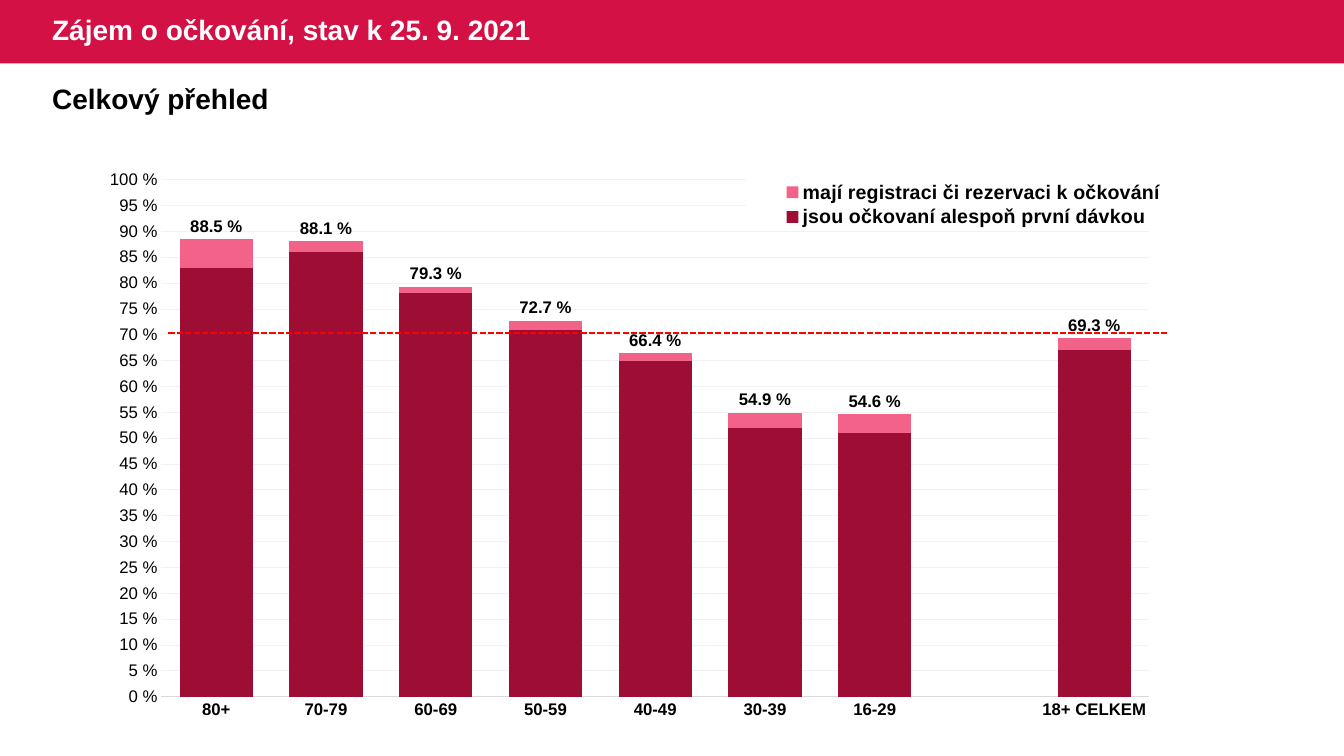
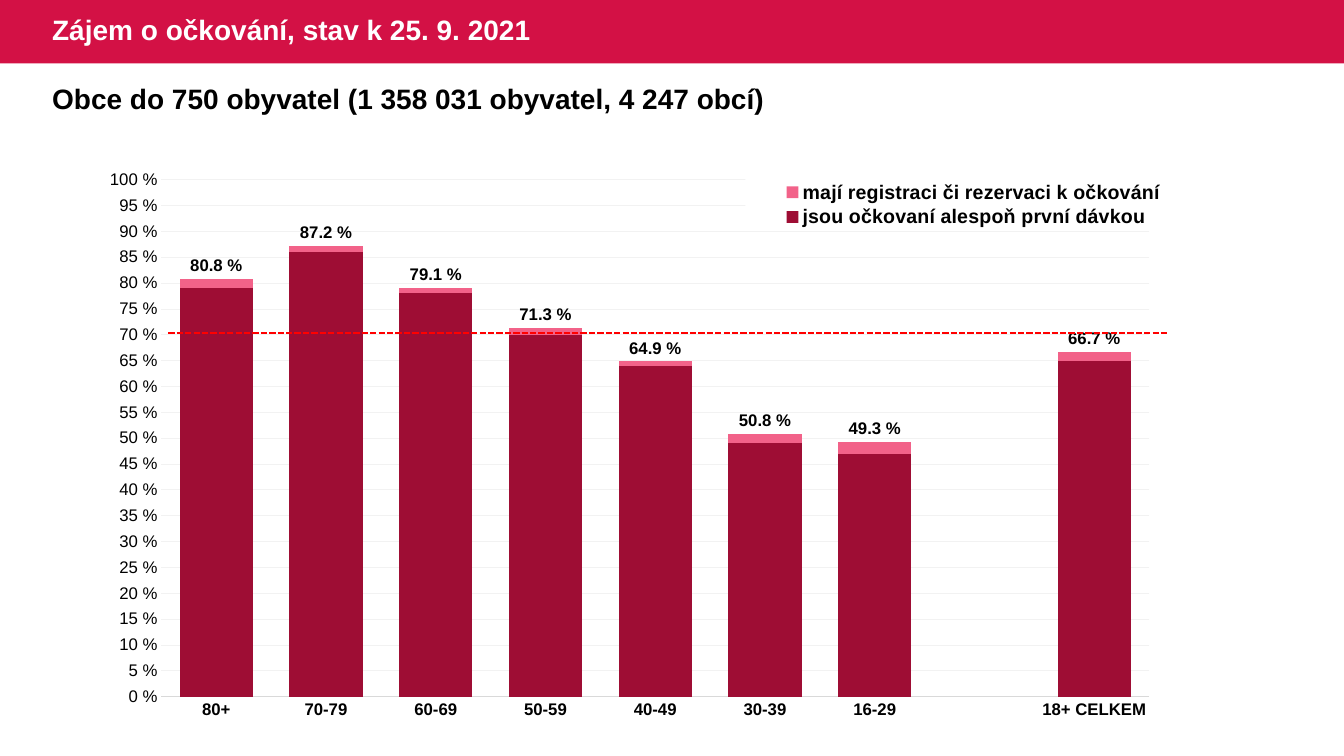
from lxml import etree
from pptx import Presentation
from pptx.chart.data import CategoryChartData
from pptx.dml.color import RGBColor
from pptx.enum.chart import XL_CHART_TYPE, XL_LABEL_POSITION, XL_LEGEND_POSITION, XL_TICK_MARK
from pptx.enum.dml import MSO_LINE
from pptx.enum.shapes import MSO_CONNECTOR, MSO_SHAPE
from pptx.enum.text import MSO_ANCHOR
from pptx.oxml import parse_xml
from pptx.util import Pt

CLUSTERED = XL_CHART_TYPE.COLUMN_CLUSTERED
OUTSIDE_END = XL_LABEL_POSITION.OUTSIDE_END
LEGEND_TOP = XL_LEGEND_POSITION.TOP
NO_TICK = XL_TICK_MARK.NONE
SYS_DASH = MSO_LINE.SQUARE_DOT
STRAIGHT = MSO_CONNECTOR.STRAIGHT
RECTANGLE = MSO_SHAPE.RECTANGLE
MIDDLE, TOP = MSO_ANCHOR.MIDDLE, MSO_ANCHOR.TOP

COLORS = {
    "band": "D31145",
    "white": "FFFFFF",
    "text": "000000",
    "registered": "F26289",
    "vaccinated": "9E0D34",
    "axis": "D9D9D9",
    "grid": "F2F2F2",
    "target": "FF0000",
}
FONT = "Arial"
SLIDE_WIDTH, SLIDE_HEIGHT = 960, 540
BAND_BOX = (0, 0, SLIDE_WIDTH, 45.4)
TITLE_BOX = (30.2, 0, 424.8, 45.4)
SUBTITLE_BOX = (30.2, 54.7, 892, 31.7)
CHART_BOX = (78.5, 115.2, 795.6, 412.6)
PLOT_LAYOUT = (0.045, 0.032, 0.888, 0.895)
LEGEND_LAYOUT = (0.57, 0.03, 0.41, 0.09)
TARGET_LINE = (41.7, 122.4, 714.3)

NS_A = "http://schemas.openxmlformats.org/drawingml/2006/main"
NS_C = "http://schemas.openxmlformats.org/drawingml/2006/chart"

TITLE = "Zájem o očkování, stav k 25. 9. 2021"
AGE_GROUPS = ("80+", "70-79", "60-69", "50-59", "40-49", "30-39", "16-29", "", "18+ CELKEM")
SERIES = (
    ("mají registraci či rezervaci k očkování", "registered"),
    ("jsou očkovaní alespoň první dávkou", "vaccinated"),
)
OVERVIEWS = (
    (
        "Celkový přehled",
        (88.5, 88.1, 79.3, 72.7, 66.4, 54.9, 54.6, None, 69.3),
        (83, 86, 78, 71, 65, 52, 51, None, 67),
    ),
    (
        "Obce do 750 obyvatel (1 358 031 obyvatel, 4 247 obcí)",
        (80.8, 87.2, 79.1, 71.3, 64.9, 50.8, 49.3, None, 66.7),
        (79, 86, 78, 70, 64, 49, 47, None, 65),
    ),
)


def set_format(target, **values):
    """Set every given format value on the target."""
    for attribute, value in values.items():
        setattr(target, attribute, value)


def rgb(role):
    """Return the colour of a role."""
    return RGBColor.from_string(COLORS[role])


def style_font(font, size, bold=False, role="text"):
    """Apply the shared typeface with a size, weight and colour."""
    set_format(font, name=FONT, size=Pt(size), bold=bold)
    font.color.rgb = rgb(role)


def style_line(line, role, width):
    """Give a line its colour and width."""
    line.color.rgb = rgb(role)
    line.width = Pt(width)


def add_heading(slide, box, text, role, anchor, spacing):
    """Place a bold one-line heading in its box."""
    frame = slide.shapes.add_textbox(*map(Pt, box)).text_frame
    set_format(frame, word_wrap=True, vertical_anchor=anchor)
    paragraph = frame.paragraphs[0]
    set_format(paragraph, text=text, line_spacing=spacing)
    style_font(paragraph.runs[0].font, 20, True, role)


def add_header(slide, subtitle):
    """Place the band, the shared title and the subtitle."""
    band = slide.shapes.add_shape(RECTANGLE, *map(Pt, BAND_BOX))
    band.shadow.inherit = False
    band.fill.solid()
    band.fill.fore_color.rgb = rgb("band")
    band.line.fill.background()
    add_heading(slide, TITLE_BOX, TITLE, "white", MIDDLE, 0.9)
    add_heading(slide, SUBTITLE_BOX, subtitle, "text", TOP, 1.0)


def manual_layout(fractions, inner=False):
    """Return a chart layout element for x, y, width and height fractions."""
    target = '<c:layoutTarget val="inner"/>' if inner else ""
    modes = '<c:xMode val="edge"/><c:yMode val="edge"/>'
    sizes = "".join(f'<c:{key} val="{value}"/>' for key, value in zip("xywh", fractions))
    return parse_xml(
        f'<c:layout xmlns:c="{NS_C}"><c:manualLayout>{target}{modes}{sizes}'
        "</c:manualLayout></c:layout>"
    )


def style_axes(chart):
    """Format the age axis and the percentage axis."""
    ages, percent = chart.category_axis, chart.value_axis
    for axis, bold in ((ages, True), (percent, False)):
        set_format(axis, major_tick_mark=NO_TICK, minor_tick_mark=NO_TICK)
        style_font(axis.tick_labels.font, 12, bold)
    style_line(ages.format.line, "axis", 0.75)
    set_format(percent, minimum_scale=0, maximum_scale=100, major_unit=5)
    set_format(percent.tick_labels, number_format='0" %"', number_format_is_linked=False)
    percent.format.line.fill.background()
    style_line(percent.major_gridlines.format.line, "grid", 0.5)


def style_legend(chart):
    """Place the legend on a white ground at the top right."""
    chart.has_legend = True
    legend = chart.legend
    set_format(legend, position=LEGEND_TOP, include_in_layout=False)
    style_font(legend.font, 14, True)
    element = legend._element
    for old in element.findall(f"{{{NS_C}}}layout"):
        element.remove(old)
    element.find(f"{{{NS_C}}}legendPos").addnext(manual_layout(LEGEND_LAYOUT))
    ground = parse_xml(
        f'<c:spPr xmlns:c="{NS_C}" xmlns:a="{NS_A}"><a:solidFill>'
        f'<a:srgbClr val="{COLORS["white"]}"/></a:solidFill></c:spPr>'
    )
    element.find(f"{{{NS_C}}}overlay").addnext(ground)


def style_columns(chart):
    """Lay the two series over each other and label the totals."""
    plot = chart.plots[0]
    set_format(plot, gap_width=50, overlap=100, vary_by_categories=False)
    for series, (_, role) in zip(plot.series, SERIES):
        series.invert_if_negative = False
        series.format.fill.solid()
        series.format.fill.fore_color.rgb = rgb(role)
    labels = plot.series[0].data_labels
    set_format(
        labels,
        show_value=True,
        number_format='0.0" %"',
        number_format_is_linked=False,
        position=OUTSIDE_END,
    )
    style_font(labels.font, 12, True)


def add_interest_chart(slide, box, shares):
    """Place the chart of interest by age group in its box."""
    data = CategoryChartData()
    data.categories = AGE_GROUPS
    for (name, _), values in zip(SERIES, shares):
        data.add_series(name, values)
    chart = slide.shapes.add_chart(CLUSTERED, *map(Pt, box), data).chart
    chart.has_title = False
    style_font(chart.font, 10)
    style_axes(chart)
    style_columns(chart)
    style_legend(chart)
    plot_area = chart._chartSpace.chart.plotArea
    for old in plot_area.findall(f"{{{NS_C}}}layout"):
        plot_area.remove(old)
    plot_area.insert(0, manual_layout(PLOT_LAYOUT, inner=True))


def add_target_line(slide, box):
    """Draw the dashed 70 % line across the chart box."""
    left, top = box[:2]
    start, height, length = TARGET_LINE
    x, y = left + start, top + height
    target = slide.shapes.add_connector(STRAIGHT, Pt(x), Pt(y), Pt(x + length), Pt(y))
    style_line(target.line, "target", 1.5)
    target.line.dash_style = SYS_DASH
    etree.SubElement(target._element.spPr, f"{{{NS_A}}}effectLst")


def add_overview(deck, subtitle, *shares):
    """Build one slide of vaccination interest."""
    slide = deck.slides.add_slide(deck.slide_layouts[6])
    add_header(slide, subtitle)
    add_interest_chart(slide, CHART_BOX, shares)
    add_target_line(slide, CHART_BOX)


def main():
    """Build and save the presentation."""
    deck = Presentation()
    set_format(deck, slide_width=Pt(SLIDE_WIDTH), slide_height=Pt(SLIDE_HEIGHT))
    for overview in OVERVIEWS:
        add_overview(deck, *overview)
    deck.save("out.pptx")


if __name__ == "__main__":
    main()
